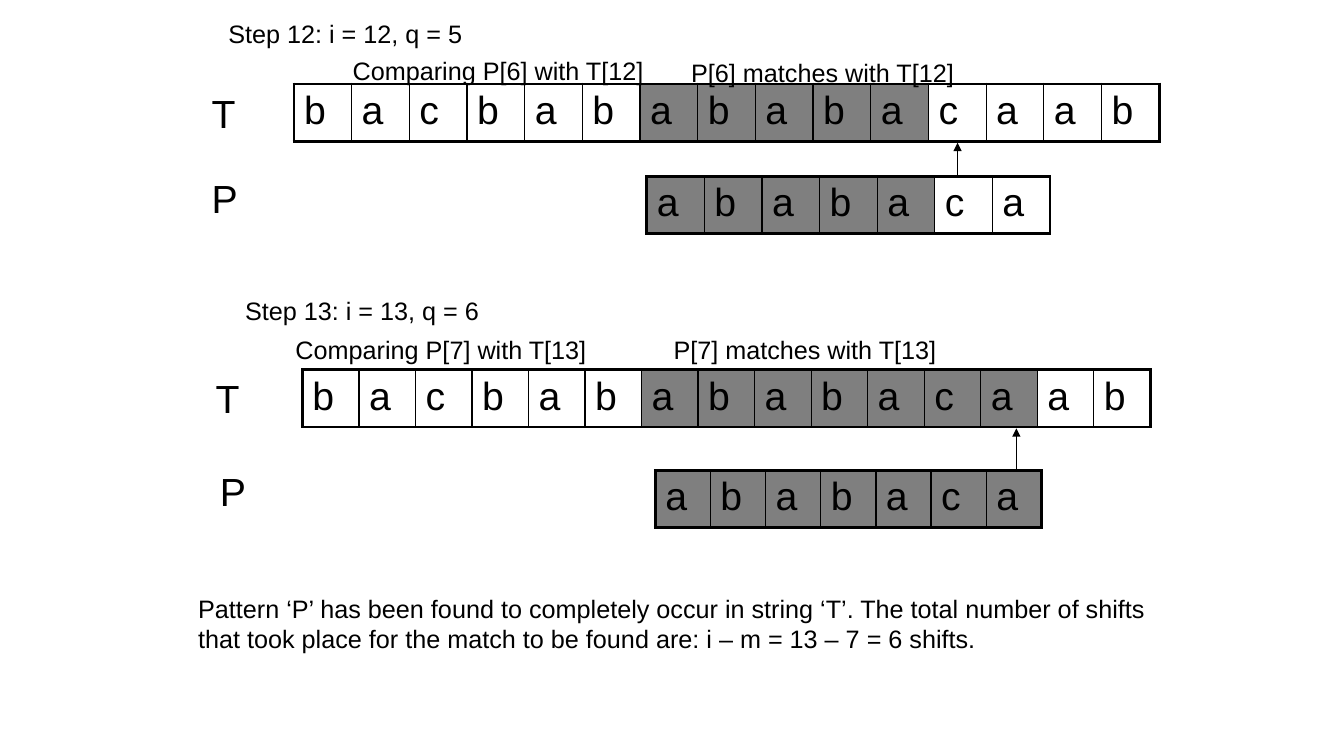
"""Draw steps 12 and 13 of matching the pattern P in the string T."""
from dataclasses import dataclass

from lxml.etree import SubElement as Sub
from pptx import Presentation
from pptx.dml.color import RGBColor as RGB
from pptx.enum.shapes import MSO_CONNECTOR as Conn
from pptx.enum.text import MSO_AUTO_SIZE as Auto
from pptx.oxml.ns import qn
from pptx.util import Inches, Length, Pt


@dataclass(frozen=True)
class Theme:
    font: str = "Arial"
    ink: RGB = RGB(0, 0, 0)
    shade_alpha: int = 50000
    body: Length = Pt(18)
    letter: Length = Pt(28)
    frame: Length = Pt(2.25)
    divider: Length = Pt(1)
    arrow: Length = Pt(0.75)


@dataclass(frozen=True)
class Strip:
    letters: str
    matched: range
    col: float
    row: float
    cols: float


@dataclass(frozen=True)
class Label:
    lines: tuple[str, ...]
    col: float
    row: float
    cols: float
    rows: float
    size: Length
    heading: bool = False


@dataclass(frozen=True)
class Arrow:
    col: float
    start: float
    end: float


THEME = Theme()
COLS, ROWS = 160, 90
WIDTH, HEIGHT = Inches(13.33), Inches(7.5)
STRIP_ROWS = 6.84
STRING, PATTERN, SHIFT = "bacbabababacaab", "ababaca", 6


def x(cols: float) -> int:
    """Turn grid columns into a length."""
    return round(WIDTH * cols / COLS)


def y(rows: float) -> int:
    """Turn grid rows into a length."""
    return round(HEIGHT * rows / ROWS)


def string_strip(matches: int, col: float, row: float, cols: float) -> Strip:
    """Describe T with its matched letters."""
    return Strip(STRING, range(SHIFT, SHIFT + matches), col, row, cols)


def pattern_strip(matches: int, col: float, row: float, cols: float) -> Strip:
    """Describe P with its matched letters."""
    return Strip(PATTERN, range(matches), col, row, cols)


def heading(text: str, col: float, row: float) -> Label:
    """Describe the title of a step."""
    return Label((text,), col, row, 54, 3, THEME.body, True)


def caption(text: str, col: float, row: float, cols: float) -> Label:
    """Describe a remark above a strip."""
    return Label((text,), col, row, cols, 4.8, THEME.body)


def name(text: str, col: float, row: float) -> Label:
    """Describe the name to the left of a strip."""
    return Label((text,), col, row, 5.6, STRIP_ROWS, THEME.letter)


STRIPS = (
    string_strip(5, 35, 10, 103),
    string_strip(7, 36, 44, 101),
    pattern_strip(5, 77, 21, 48),
    pattern_strip(7, 78, 56, 46),
)
LABELS = (
    heading("Step 12: i = 12, q = 5", 26, 2),
    caption("Comparing P[6] with T[12]", 40.8, 6, 37.4),
    caption("P[6] matches with T[12]", 81.1, 6.2, 34),
    name("T", 24, 10),
    name("P", 24, 20.2),
    heading("Step 13: i = 13, q = 6", 28, 35),
    caption("Comparing P[7] with T[13]", 34, 39.2, 37.4),
    caption("P[7] matches with T[13]", 79, 39.2, 34),
    name("T", 24.5, 44),
    name("P", 25, 55),
    Label((
        "Pattern ‘P’ has been found to completely occur in string ‘T’. The total number of shifts",
        "that took place for the match to be found are: i – m = 13 – 7 = 6 shifts.",
    ), 22.4, 70, 116, 8.4, THEME.body),
)
ARROWS = (Arrow(114, 21, 17), Arrow(121, 56, 51))


def set_all(obj: object, values: dict[str, object]) -> None:
    """Set each named attribute."""
    for key, value in values.items():
        setattr(obj, key, value)


def write(p, text: str, size: Length) -> None:
    """Add a run in the theme's type."""
    r = p.add_run()
    r.text = text
    set_all(r.font, {"name": THEME.font, "size": size})
    r.font.color.rgb = THEME.ink


def add_border(tc_pr, side: str, width: Length) -> None:
    """Draw one edge of a cell."""
    ln = Sub(tc_pr, qn(f"a:ln{side}"), w=str(int(width)))
    Sub(Sub(ln, qn("a:solidFill")), qn("a:srgbClr"), val=str(THEME.ink))


def add_strip(s, strip: Strip) -> None:
    """Draw a string as a row of letter cells."""
    n = len(strip.letters)
    tbl = s.shapes.add_table(1, n, x(strip.col), y(strip.row),
                             x(strip.cols), y(STRIP_ROWS)).table
    set_all(tbl, {"first_row": False, "horz_banding": False})
    for i, letter in enumerate(strip.letters):
        tbl.columns[i].width = x(strip.cols / n)
        cell = tbl.cell(0, i)
        write(cell.text_frame.paragraphs[0], letter, THEME.letter)
        tc_pr = cell._tc.get_or_add_tcPr()
        edges = {
            "L": THEME.frame if i == 0 else THEME.divider,
            "R": THEME.frame if i == n - 1 else THEME.divider,
            "T": THEME.frame,
            "B": THEME.frame,
        }
        for side, width in edges.items():
            add_border(tc_pr, side, width)
        if i in strip.matched:
            cell.fill.solid()
            cell.fill.fore_color.rgb = THEME.ink
            clr = tc_pr.find(qn("a:solidFill")).find(qn("a:srgbClr"))
            Sub(clr, qn("a:alpha"), val=str(THEME.shade_alpha))
        else:
            cell.fill.background()


def add_label(s, label: Label) -> None:
    """Draw a text box."""
    tf = s.shapes.add_textbox(x(label.col), y(label.row),
                              x(label.cols), y(label.rows)).text_frame
    fit = Auto.NONE if label.heading else Auto.SHAPE_TO_FIT_TEXT
    set_all(tf, {"word_wrap": True, "auto_size": fit})
    for i, line in enumerate(label.lines):
        p = tf.add_paragraph() if i else tf.paragraphs[0]
        write(p, line, label.size)
        if label.heading:
            p.line_spacing = 0.9
            indent = Inches(0.38)
            p_pr = p._p.get_or_add_pPr()
            p_pr.set("marL", str(int(indent)))
            p_pr.set("indent", str(int(-indent)))


def add_arrow(s, arrow: Arrow) -> None:
    """Draw an arrow from P up to T."""
    c = s.shapes.add_connector(Conn.STRAIGHT, x(arrow.col), y(arrow.start),
                               x(arrow.col), y(arrow.end))
    c.line.width = THEME.arrow
    c.line.color.rgb = THEME.ink
    Sub(c.line._get_or_add_ln(), qn("a:tailEnd"), type="triangle")
    Sub(c._element.spPr, qn("a:effectLst"))


def main() -> None:
    """Build and save the slide."""
    prs = Presentation()
    set_all(prs, {"slide_width": WIDTH, "slide_height": HEIGHT})
    s = prs.slides.add_slide(prs.slide_layouts[6])
    for items, draw in ((STRIPS, add_strip), (LABELS, add_label), (ARROWS, add_arrow)):
        for item in items:
            draw(s, item)
    prs.save("out.pptx")


if __name__ == "__main__":
    main()
